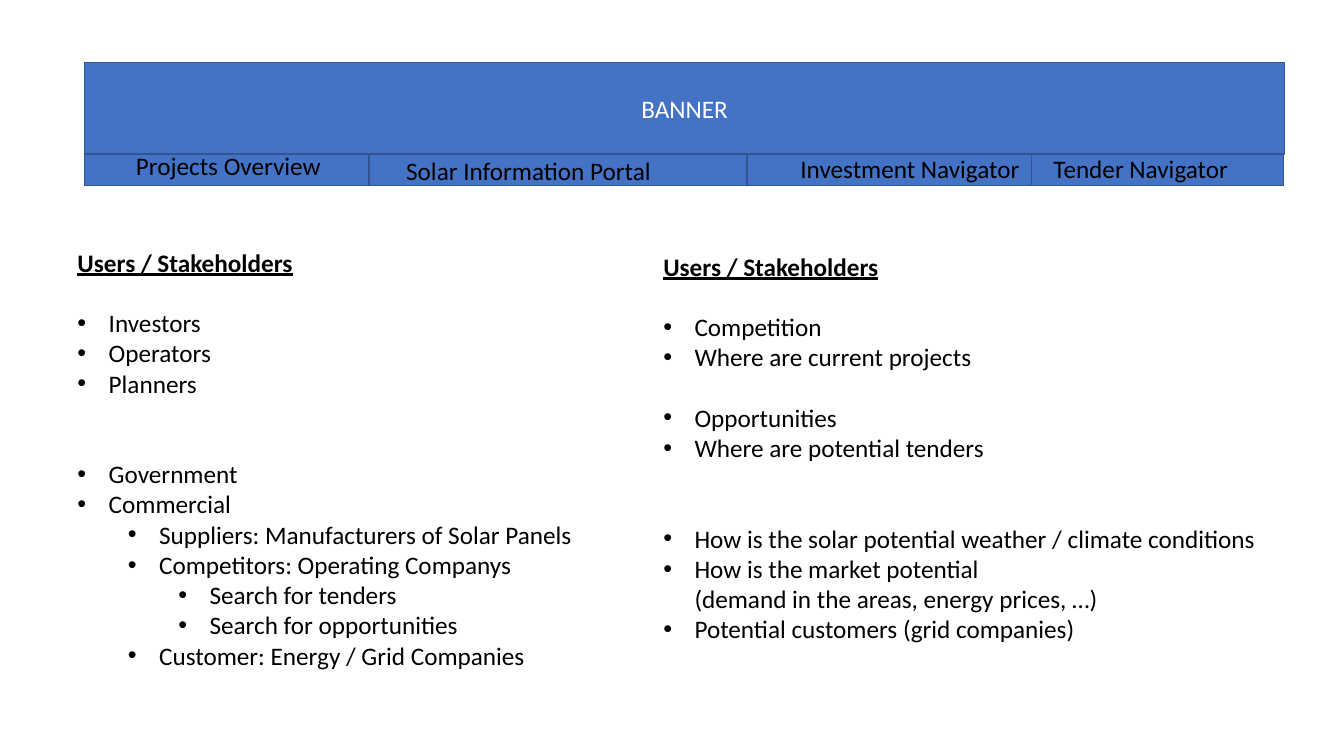
from dataclasses import dataclass

from lxml.etree import SubElement
from pptx import Presentation
from pptx.dml.color import RGBColor
from pptx.enum.shapes import MSO_SHAPE
from pptx.enum.text import MSO_ANCHOR, MSO_AUTO_SIZE, PP_ALIGN
from pptx.oxml.ns import qn
from pptx.slide import Slide
from pptx.util import Inches, Pt

COLORS = {"fill": "4472C4", "line": "325491", "text": "000000", "banner": "FFFFFF"}
FONT = "Calibri"
FONT_SIZE = 18
LINE_PITCH = 21.6
LABEL_HEIGHT = 0.4
TAB_TOP, TAB_HEIGHT = 1.53, 0.31
HANGING, LEVEL_STEP = 0.31, 0.5


@dataclass
class Tab:
    left: float
    width: float
    label: str
    label_left: float
    label_top: float
    label_width: float


@dataclass
class Item:
    text: str
    level: int = 0
    lines_before: int = 0


@dataclass
class Column:
    left: float
    top: float
    width: float
    heading: str
    items: list[Item]


TABS = [
    Tab(0.84, 2.82, "Projects Overview", 1.25, 1.44, 2.05),
    Tab(3.66, 3.8, "Solar Information Portal", 3.93, 1.49, 2.65),
    Tab(9.91, 2.82, "Tender Navigator", 10.35, 1.47, 1.95),
    Tab(7.41, 2.82, "Investment Navigator", 7.84, 1.47, 2.4),
]

COLUMNS = [
    Column(0.67, 2.4, 5.99, "Users / Stakeholders", [
        Item("Investors", lines_before=1),
        Item("Operators"),
        Item("Planners"),
        Item("Government", lines_before=2),
        Item("Commercial"),
        Item("Suppliers: Manufacturers of Solar Panels", 1),
        Item("Competitors: Operating Companys", 1),
        Item("Search for tenders", 2),
        Item("Search for opportunities", 2),
        Item("Customer: Energy / Grid Companies", 1),
    ]),
    Column(6.48, 2.44, 6.69, "Users / Stakeholders", [
        Item("Competition", lines_before=1),
        Item("Where are current projects"),
        Item("Opportunities", lines_before=1),
        Item("Where are potential tenders"),
        Item("How is the solar potential weather / climate conditions", lines_before=2),
        Item("How is the market potential\v(demand in the areas, energy prices, …)"),
        Item("Potential customers (grid companies)"),
    ]),
]


def format_spans(para, color: str = "text", heading: bool = False) -> None:
    for span in para.runs:
        span.font.name = FONT
        span.font.size = Pt(FONT_SIZE)
        span.font.color.rgb = RGBColor.from_string(COLORS[color])
        if heading:
            span.font.bold = True
            span.font.underline = True


def add_bar(page: Slide, left: float, top: float, width: float, height: float):
    bar = page.shapes.add_shape(
        MSO_SHAPE.RECTANGLE, Inches(left), Inches(top), Inches(width), Inches(height))
    bar.shadow.inherit = False
    bar.fill.solid()
    bar.fill.fore_color.rgb = RGBColor.from_string(COLORS["fill"])
    bar.line.color.rgb = RGBColor.from_string(COLORS["line"])
    bar.line.width = Pt(1)
    return bar


def add_label(page: Slide, tab: Tab) -> None:
    box = page.shapes.add_textbox(
        Inches(tab.label_left), Inches(tab.label_top),
        Inches(tab.label_width), Inches(LABEL_HEIGHT))
    frame = box.text_frame
    frame.word_wrap = False
    frame.auto_size = MSO_AUTO_SIZE.SHAPE_TO_FIT_TEXT
    frame.text = tab.label
    format_spans(frame.paragraphs[0])


def add_bullet(para, level: int) -> None:
    para.level = level
    properties = para._p.get_or_add_pPr()
    properties.set("marL", str(Inches(HANGING + level * LEVEL_STEP)))
    properties.set("indent", str(-Inches(HANGING)))
    SubElement(properties, qn("a:buFont"), typeface="Arial")
    SubElement(properties, qn("a:buChar"), char="•")


def add_column(page: Slide, column: Column) -> None:
    box = page.shapes.add_textbox(
        Inches(column.left), Inches(column.top), Inches(column.width), Inches(4.64))
    frame = box.text_frame
    frame.word_wrap = True
    frame.text = column.heading
    format_spans(frame.paragraphs[0], heading=True)
    for item in column.items:
        para = frame.add_paragraph()
        para.text = item.text
        add_bullet(para, item.level)
        if item.lines_before:
            para.space_before = Pt(item.lines_before * LINE_PITCH)
        format_spans(para)


def main() -> None:
    deck = Presentation()
    deck.slide_width, deck.slide_height = Inches(13.33), Inches(7.5)
    page = deck.slides.add_slide(deck.slide_layouts[6])

    # Banner
    banner = add_bar(page, 0.84, 0.62, 11.9, 0.91)
    banner.text_frame.text = "BANNER"
    banner.text_frame.vertical_anchor = MSO_ANCHOR.MIDDLE
    title = banner.text_frame.paragraphs[0]
    title.alignment = PP_ALIGN.CENTER
    format_spans(title, "banner")

    # Navigation tabs
    for tab in TABS:
        add_bar(page, tab.left, TAB_TOP, tab.width, TAB_HEIGHT)
        add_label(page, tab)

    # Stakeholder columns
    for column in COLUMNS:
        add_column(page, column)

    deck.save("out.pptx")


if __name__ == "__main__":
    main()
